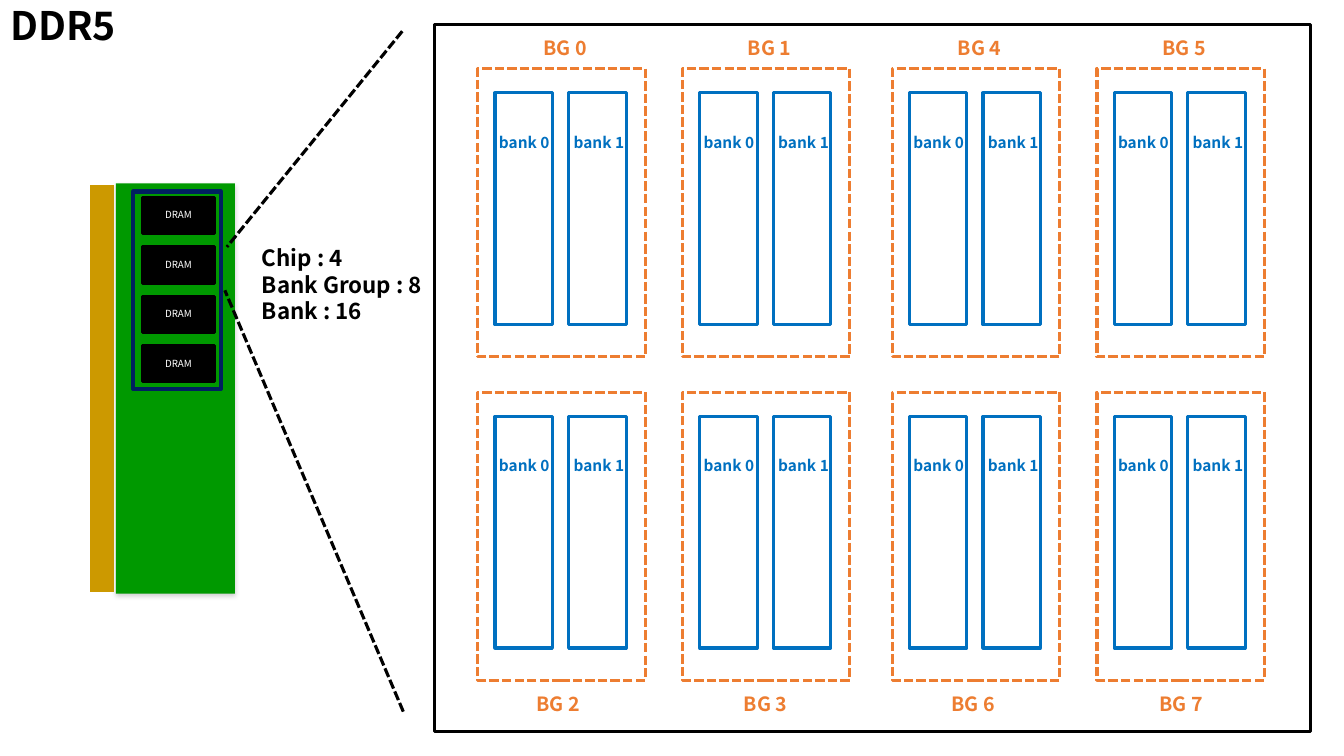
from lxml import etree
from pptx import Presentation
from pptx import util as u
from pptx.dml import color
from pptx.enum import dml, shapes, text
from pptx.oxml import ns

FONT = "Noto Sans CJK KR"
ORANGE, BLUE, NAVY = "ED7D31", "0070C0", "002060"
BLACK, WHITE, GREEN, GOLD = "000000", "FFFFFF", "009900", "CC9900"
SHADOW_GRAY = "808080"

GROUP_LEFTS = (4.74, 6.77, 8.85, 10.88)
BANK_WIDTH, BANK_HEIGHT = 0.57, 2.3
BANKS = ((0.17, 0.11, 0.88), (0.9, 0.85, 0.72))


def rgb(value):
    return color.RGBColor.from_string(value)


def style_line(line, line_color, width, dashed=False):
    line.color.rgb = rgb(line_color)
    line.width = u.Pt(width)
    if dashed:
        line.dash_style = dml.MSO_LINE.SQUARE_DOT


def style_font(paragraph, size, font_color, bold=True):
    font = paragraph.font
    font.name = FONT
    font.size = u.Pt(size)
    font.bold = bold
    font.color.rgb = rgb(font_color)


def add_box(slide, left, top, width, height, fill=None, line=None, weight=2.25, dashed=False):
    box = slide.shapes.add_shape(
        shapes.MSO_SHAPE.RECTANGLE,
        u.Inches(left), u.Inches(top), u.Inches(width), u.Inches(height))
    box.shadow.inherit = False
    if fill:
        box.fill.solid()
        box.fill.fore_color.rgb = rgb(fill)
    else:
        box.fill.background()
    if line:
        style_line(box.line, line, weight, dashed)
    else:
        box.line.fill.background()
    return box


def add_label(slide, left, top, width, height, lines, size, font_color):
    label = slide.shapes.add_textbox(
        u.Inches(left), u.Inches(top), u.Inches(width), u.Inches(height))
    frame = label.text_frame
    frame.word_wrap = True
    frame.auto_size = text.MSO_AUTO_SIZE.SHAPE_TO_FIT_TEXT
    frame.text = "\n".join(lines)
    for paragraph in frame.paragraphs:
        style_font(paragraph, size, font_color)


def add_dashed_line(slide, x1, y1, x2, y2):
    line = slide.shapes.add_connector(
        shapes.MSO_CONNECTOR.STRAIGHT,
        u.Inches(x1), u.Inches(y1), u.Inches(x2), u.Inches(y2))
    style_line(line.line, BLACK, 2.25, dashed=True)
    etree.SubElement(line._element.spPr, ns.qn("a:effectLst"))


def add_soft_shadow(shape):
    effects = shape._element.spPr.find(ns.qn("a:effectLst"))
    shadow = etree.SubElement(
        effects, ns.qn("a:outerShdw"), blurRad=str(u.Pt(3.1)),
        dist=str(u.Pt(1.8)), dir="5400000", rotWithShape="0")
    tint = etree.SubElement(shadow, ns.qn("a:srgbClr"), val=SHADOW_GRAY)
    etree.SubElement(tint, ns.qn("a:alpha"), val="35000")


def add_bank_group(slide, left, top):
    add_box(slide, left, top, 1.66, 2.86, line=ORANGE, dashed=True)
    for bank_offset, _, _ in BANKS:
        add_box(slide, left + bank_offset, top + 0.24, BANK_WIDTH, BANK_HEIGHT, WHITE, BLUE)
    for number, (_, label_offset, label_width) in enumerate(BANKS):
        add_label(slide, left + label_offset, top + 0.59, label_width, 0.29,
                  [f"bank {number}"], 11, BLUE)


def add_dram_chip(slide, top):
    chip = add_box(slide, 1.41, top, 0.72, 0.36, BLACK, BLACK)
    frame = chip.text_frame
    frame.margin_left = frame.margin_right = frame.margin_top = frame.margin_bottom = 0
    frame.vertical_anchor = text.MSO_ANCHOR.MIDDLE
    frame.text = "DRAM"
    paragraph = frame.paragraphs[0]
    paragraph.alignment = text.PP_ALIGN.CENTER
    paragraph.line_spacing = 0.9
    style_font(paragraph, 7, WHITE, bold=False)


def add_memory_module(slide):
    contacts = add_box(slide, -1.02, 3.72, 4.07, 0.27, line=WHITE)
    contacts.rotation = 90
    contacts.fill.patterned()
    contacts.fill.pattern = dml.MSO_PATTERN.DARK_VERTICAL
    contacts.fill.fore_color.rgb = rgb(GOLD)
    contacts.fill.back_color.rgb = rgb(WHITE)
    board = add_box(slide, 1.15, 1.82, 1.18, 4.07, GREEN)
    add_soft_shadow(board)
    for row in range(4):
        add_dram_chip(slide, 1.96 + 0.49 * row)
    add_box(slide, 1.32, 1.9, 0.87, 1.96, line=NAVY, weight=3)


def format_title(slide):
    title = slide.shapes.title
    title.left, title.top = u.Inches(0), u.Inches(0)
    title.width, title.height = u.Inches(13.33), u.Inches(0.55)
    title.text_frame.text = "DDR5"
    title.text_frame.vertical_anchor = text.MSO_ANCHOR.MIDDLE
    paragraph = title.text_frame.paragraphs[0]
    paragraph.alignment = text.PP_ALIGN.LEFT
    paragraph.line_spacing = 0.9
    style_font(paragraph, 28, BLACK)


def main():
    deck = Presentation()
    deck.slide_width, deck.slide_height = u.Inches(13.33), u.Inches(7.5)
    slide = deck.slides.add_slide(deck.slide_layouts[5])
    format_title(slide)

    for column, left in enumerate(GROUP_LEFTS):
        upper_number = column + column // 2 * 2
        add_label(slide, left + 0.55, 0.31, 0.7, 0.34, [f"BG {upper_number}"], 14, ORANGE)
        for top in (0.68, 3.89):
            add_bank_group(slide, left, top)
        add_label(slide, 5.22 + 2.06 * column, 6.82, 0.7, 0.34,
                  [f"BG {upper_number + 2}"], 14, ORANGE)

    add_memory_module(slide)
    add_box(slide, 4.31, 0.24, 8.69, 7.02, line=BLACK)
    add_dashed_line(slide, 3.99, 0.31, 2.25, 2.45)
    add_dashed_line(slide, 4, 7.06, 2.23, 2.88)
    add_label(slide, 2.5, 2.37, 2.07, 0.91,
              ["Chip : 4", "Bank Group : 8", "Bank : 16"], 16, BLACK)
    deck.save("out.pptx")


if __name__ == "__main__":
    main()
